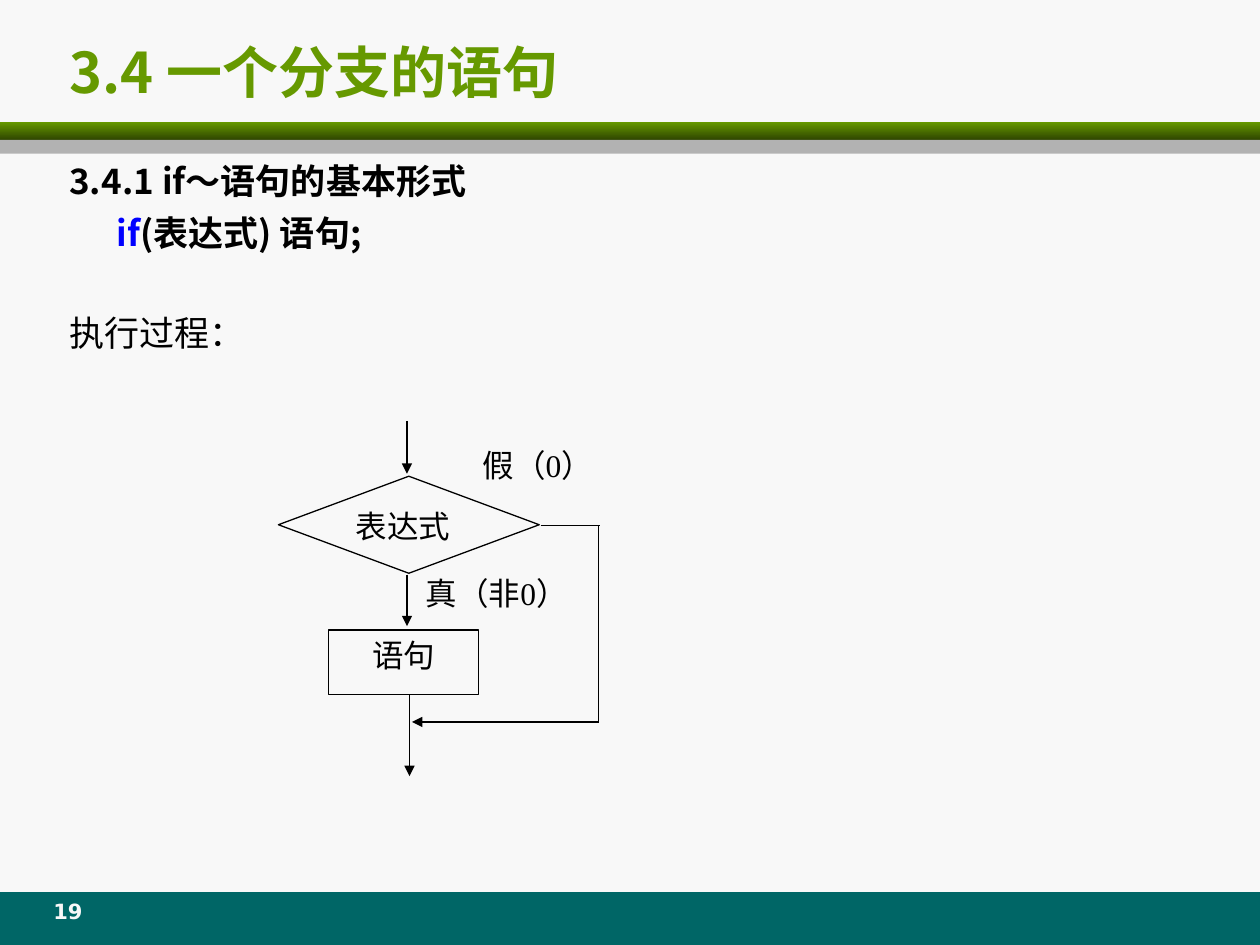
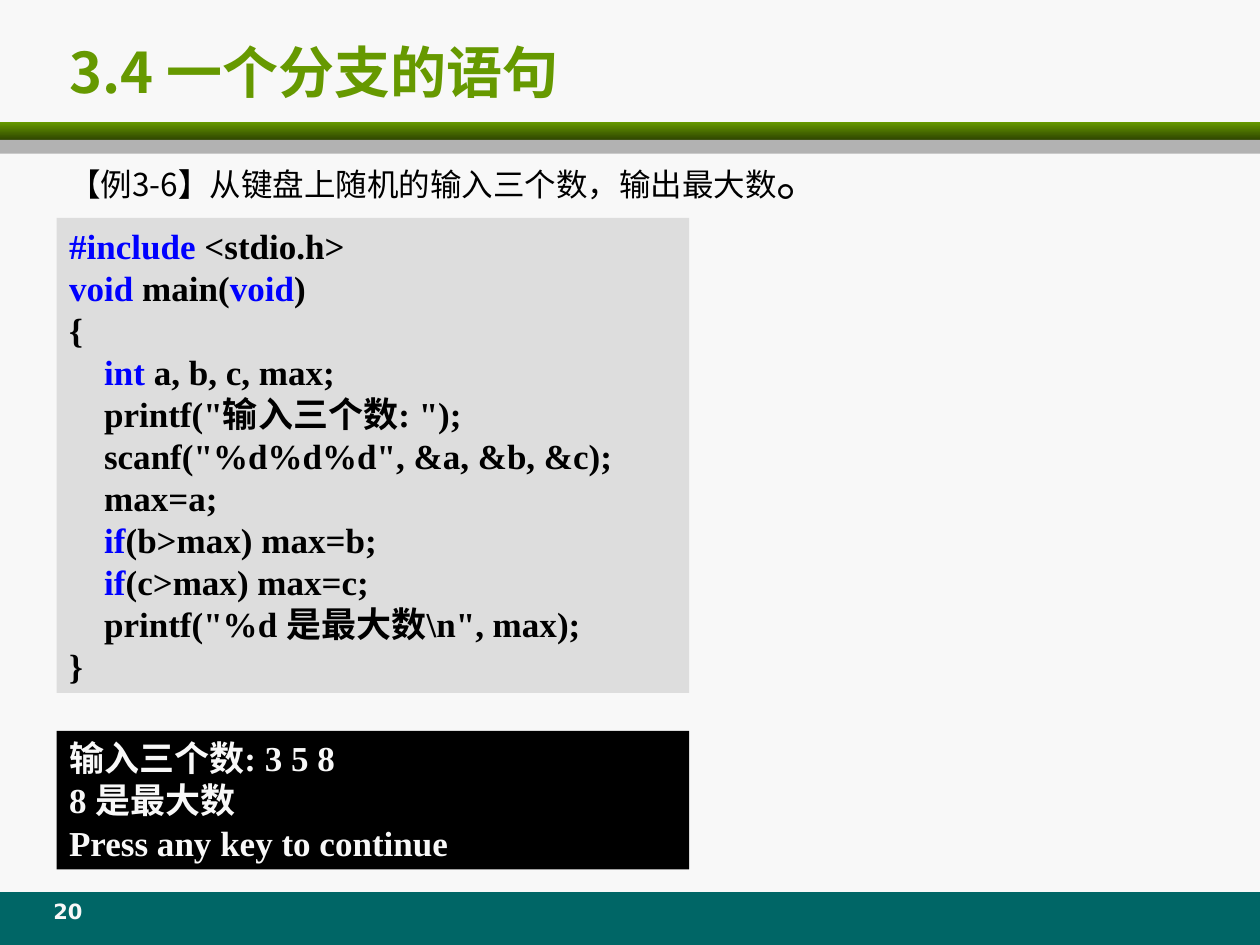
"""Build two lecture slides on the single-branch if statement in C."""
from dataclasses import dataclass

from lxml.etree import SubElement
from pptx import Presentation
from pptx.dml.color import RGBColor
from pptx.enum.shapes import MSO_CONNECTOR, MSO_SHAPE as Shape
from pptx.enum.text import MSO_ANCHOR as Anchor, MSO_AUTO_SIZE, PP_ALIGN as Align
from pptx.oxml.ns import qn
from pptx.util import Pt

COLORS = {
    "paper": "F8F8F8", "ink": "000000", "green": "669900", "dark_green": "2F4600",
    "teal": "006666", "gray": "B2B2B2", "code": "DDDDDD", "keyword": "0000FF",
}
TITLE_FONT, BODY_FONT = "Noto Sans CJK JP", "Noto Sans CJK SC"
SERIF, NUMBER_FONT = "Times New Roman", "DejaVu Sans"
TITLE = "3.4 一个分支的语句"
LEFT = 32.4


@dataclass(frozen=True)
class Area:
    left: float
    top: float
    width: float
    height: float

    def lengths(self) -> tuple:
        return tuple(Pt(n) for n in (self.left, self.top, self.width, self.height))


@dataclass(frozen=True)
class Span:
    text: str
    color: str | None = None
    bold: bool | None = None
    size: float | None = None


@dataclass(frozen=True)
class Node:
    kind: Shape
    area: Area
    text: str
    align: Align


@dataclass(frozen=True)
class Label:
    area: Area
    text: str


@dataclass(frozen=True)
class Wire:
    start: tuple[float, float]
    end: tuple[float, float]
    arrow: bool = True


BANDS = [
    (Area(0, 509.76, 720, 30.24), "teal"),
    (Area(0, 69.84, 720, 10.08), "green"),
    (Area(0, 79.92, 720, 7.92), "gray"),
]
NODES = [
    Node(Shape.FLOWCHART_DECISION, Area(159.12, 272.16, 149.04, 55.44), "表达式", Align.JUSTIFY),
    Node(Shape.RECTANGLE, Area(187.92, 360, 85.68, 36.72), "语句", Align.CENTER),
]
LABELS = [
    Label(Area(243.36, 328.32, 94.32, 24.48), "真（非0）"),
    Label(Area(275.76, 254.88, 74.88, 31.68), "假（0）"),
]
WIRES = [
    Wire((232.56, 240.48), (232.56, 270.72)),
    Wire((232.56, 328.32), (232.56, 357.84)),
    Wire((234, 396.72), (234, 443.52)),
    Wire((308.88, 300.24), (342.72, 300.24), arrow=False),
    Wire((342, 300.24), (342, 413.28), arrow=False),
    Wire((342, 412.56), (235.44, 412.56)),
]
PROGRAM = r"""`#include` <stdio.h>
`void` main(`void`)
{
    `int `a, b, c, max;
    printf("输入三个数: ");
    scanf("%d%d%d", &a, &b, &c);
    max=a;
    `if`(b>max) max=b;
    `if`(c>max) max=c;
    printf("%d 是最大数\n", max);
}"""
OUTPUT = """输入三个数: 3 5 8
8 是最大数
Press any key to continue"""


def rgb(name: str) -> RGBColor:
    return RGBColor.from_string(COLORS[name])


def mark_keywords(line: str) -> list[Span]:
    pieces = enumerate(line.split("`"))
    return [Span(text, "keyword" if index % 2 else None) for index, text in pieces if text]


def write(frame, lines: list[list[Span]], *, size: float, font: str = SERIF,
          color: str = "ink", bold: bool = False, align: Align = Align.LEFT,
          anchor: Anchor = Anchor.TOP, before: float = 0, leading: float | None = None,
          margins: tuple[float, float] = (7.2, 3.6), plain_list: bool = False) -> None:
    frame.word_wrap = True
    frame.auto_size = MSO_AUTO_SIZE.NONE
    frame.vertical_anchor = anchor
    frame.margin_left = frame.margin_right = Pt(margins[0])
    frame.margin_top = frame.margin_bottom = Pt(margins[1])
    for index, spans in enumerate(lines):
        para = frame.add_paragraph() if index else frame.paragraphs[0]
        if plain_list:
            SubElement(para._p.get_or_add_pPr(), qn("a:buNone"))
        para.alignment = align
        para.space_before = Pt(before if index else 0)
        if leading:
            para.line_spacing = Pt(leading)
        for span in spans:
            run = para.add_run()
            run.text = span.text
            run.font.size = Pt(span.size or size)
            run.font.bold = bold if span.bold is None else span.bold
            run.font.color.rgb = rgb(span.color or color)
            run.font.name = font
            east_asian = SubElement(run._r.get_or_add_rPr(), qn("a:ea"))
            east_asian.set("typeface", font if font.startswith("Noto") else BODY_FONT)


def add_box(page, area: Area, fill: str | None = None, kind: Shape = Shape.RECTANGLE,
            line: str | None = None):
    box = page.shapes.add_shape(kind, *area.lengths())
    box.shadow.inherit = False
    if fill:
        box.fill.solid()
        box.fill.fore_color.rgb = rgb(fill)
    else:
        box.fill.background()
    if line:
        box.line.color.rgb = rgb(line)
        box.line.width = Pt(0.75)
    else:
        box.line.fill.background()
    return box


def add_wire(page, wire: Wire) -> None:
    ends = (Pt(n) for n in (*wire.start, *wire.end))
    connector = page.shapes.add_connector(MSO_CONNECTOR.STRAIGHT, *ends)
    connector.line.color.rgb = rgb("ink")
    connector.line.width = Pt(0.75)
    if wire.arrow:
        SubElement(connector.line._get_or_add_ln(), qn("a:tailEnd")).set("type", "triangle")
    SubElement(connector._element.spPr, qn("a:effectLst"))


def add_text(page, area: Area, text: str, **style) -> None:
    box = page.shapes.add_textbox(*area.lengths())
    write(box.text_frame, [[Span(text)]], **style)


def place(holder, area: Area):
    holder.left, holder.top, holder.width, holder.height = area.lengths()
    return holder.text_frame


def add_page(deck, number: int):
    page = deck.slides.add_slide(deck.slide_layouts[1])
    for area, color in BANDS:
        band = add_box(page, area, color)
        if color == "green":
            band.fill.gradient()
            band.fill.gradient_angle = 270
            for stop, name in zip(band.fill.gradient_stops, ("green", "dark_green")):
                stop.color.rgb = rgb(name)
    write(place(page.shapes.title, Area(LEFT, 16.56, 673.2, 48.24)), [[Span(TITLE)]],
          size=32, font=TITLE_FONT, color="green", bold=True, anchor=Anchor.MIDDLE)
    add_text(page, Area(18, 509.76, 41.76, 23.76), str(number), size=12, font=NUMBER_FONT,
             color="paper", bold=True, align=Align.CENTER, leading=14.4)
    return page


def build_flowchart_page(deck) -> None:
    page = add_page(deck, 19)
    body = place(page.placeholders[1], Area(LEFT, 87.12, 650.16, 131.76))
    lines = [
        [Span("3.4.1 if～语句的基本形式")],
        [Span("if", "keyword"), Span("(表达式) 语句;")],
        [Span("执行过程：", bold=False)],
    ]
    write(body, lines, size=20, font=BODY_FONT, bold=True, before=5, leading=24.7,
          plain_list=True)
    _, syntax, process = body.paragraphs
    syntax._p.get_or_add_pPr().set("indent", "0")
    process.space_before = Pt(32.4)
    for node in NODES:
        box = add_box(page, node.area, kind=node.kind, line="ink")
        write(box.text_frame, [[Span(node.text)]], size=18, align=node.align, leading=21.6)
    for wire in WIRES:
        add_wire(page, wire)
    for label in LABELS:
        add_text(page, label.area, label.text, size=18, align=Align.JUSTIFY, leading=21.6,
                 margins=(0, 0))


def build_example_page(deck) -> None:
    page = add_page(deck, 20)
    body = place(page.placeholders[1], Area(LEFT, 78.48, 639.36, 46.08))
    task = [Span("【例3-6"), Span("】", bold=True),
            Span("从键盘上随机的输入三个数，输出最大数"), Span("。", size=28)]
    write(body, [task], size=18, font=BODY_FONT, leading=36, plain_list=True)
    panels = [
        (Area(LEFT, 124.56, 361.44, 271.44), "code", "ink", PROGRAM),
        (Area(LEFT, 417.6, 361.44, 79.2), "ink", "paper", OUTPUT),
    ]
    for area, fill, color, text in panels:
        lines = [mark_keywords(line) for line in text.split("\n")]
        write(add_box(page, area, fill).text_frame, lines, size=20, color=color, bold=True,
              leading=24)


def main() -> None:
    deck = Presentation()
    deck.slide_width, deck.slide_height = Pt(720), Pt(540)
    backdrop = deck.slide_master.background.fill
    backdrop.solid()
    backdrop.fore_color.rgb = rgb("paper")
    build_flowchart_page(deck)
    build_example_page(deck)
    deck.save("out.pptx")


if __name__ == "__main__":
    main()
